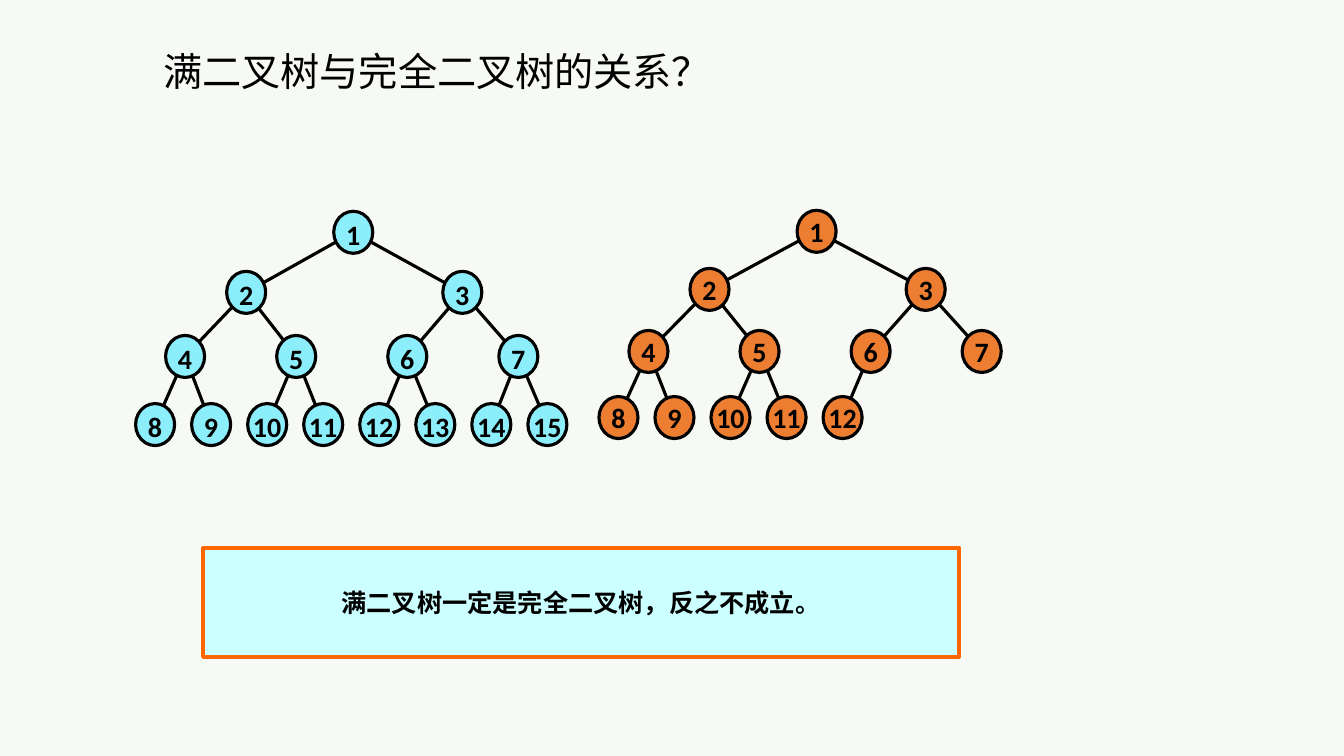
from dataclasses import dataclass
from math import hypot

from lxml import etree
from pptx import Presentation
from pptx.dml.color import RGBColor
from pptx.enum.shapes import MSO_CONNECTOR, MSO_SHAPE
from pptx.enum.text import MSO_ANCHOR, MSO_AUTO_SIZE, PP_ALIGN
from pptx.oxml.ns import qn
from pptx.util import Emu, Pt

OVAL, RECTANGLE = MSO_SHAPE.OVAL, MSO_SHAPE.RECTANGLE
STRAIGHT = MSO_CONNECTOR.STRAIGHT
LEFT, CENTER = PP_ALIGN.LEFT, PP_ALIGN.CENTER
MIDDLE, BOTTOM = MSO_ANCHOR.MIDDLE, MSO_ANCHOR.BOTTOM
NO_FIT = MSO_AUTO_SIZE.NONE
TITLE_ONLY = 5

EMU_PER_PX = 9080
NODE_WIDTH, NODE_HEIGHT = 39, 42
EDGE_INSET = 20
# Per level: offset of its first node from the leftmost leaf, and node spacing
LEVELS = [(198, 0), (91, 216), (30, 111), (0, 56)]


@dataclass(frozen=True)
class Theme:
    background: str = "F7FAF4"
    ink: str = "000000"
    full_node: str = "8DEEFB"
    complete_node: str = "ED7D31"
    box_fill: str = "CCFFFF"
    box_line: str = "FF6600"
    font: str = "Calibri"
    box_font: str = "Noto Sans CJK SC"
    title_size: int = 28
    node_size: int = 20
    box_size: int = 18
    line_width: float = 2.25
    box_line_width: float = 3


def px(length):
    return Emu(round(length * EMU_PER_PX))


def rgb(code):
    return RGBColor.from_string(code)


class SlideBuilder:
    def __init__(self, slide, theme):
        self.slide = slide
        self.theme = theme
        fill = slide.background.fill
        fill.solid()
        fill.fore_color.rgb = rgb(theme.background)

    def set_text(self, shape, text, size, font, align, anchor, bold=False):
        frame = shape.text_frame
        frame.text = text
        frame.auto_size = NO_FIT
        frame.vertical_anchor = anchor
        paragraph = frame.paragraphs[0]
        paragraph.alignment = align
        paragraph.font.name = font
        paragraph.font.size = Pt(size)
        paragraph.font.bold = bold
        paragraph.font.color.rgb = rgb(self.theme.ink)
        return paragraph

    def title(self, text, left, top, width, height):
        shape = self.slide.shapes.title
        shape.left, shape.top = px(left), px(top)
        shape.width, shape.height = px(width), px(height)
        paragraph = self.set_text(shape, text, self.theme.title_size,
                                  self.theme.font, LEFT, BOTTOM)
        paragraph.line_spacing = 0.9

    def shape(self, shapes, kind, bounds, fill, line, line_width):
        shape = shapes.add_shape(kind, *map(px, bounds))
        shape.shadow.inherit = False
        shape.fill.solid()
        shape.fill.fore_color.rgb = rgb(fill)
        shape.line.color.rgb = rgb(line)
        shape.line.width = Pt(line_width)
        return shape

    def box(self, text, *bounds):
        theme = self.theme
        shape = self.shape(self.slide.shapes, RECTANGLE, bounds,
                           theme.box_fill, theme.box_line, theme.box_line_width)
        self.set_text(shape, text, theme.box_size, theme.box_font,
                      CENTER, MIDDLE, bold=True)

    def node(self, shapes, number, center, fill, text_drop):
        theme = self.theme
        x, y = center
        bounds = (x - NODE_WIDTH / 2, y - NODE_HEIGHT / 2, NODE_WIDTH, NODE_HEIGHT)
        shape = self.shape(shapes, OVAL, bounds, fill, theme.ink, theme.line_width)
        self.set_text(shape, str(number), theme.node_size, theme.font,
                      CENTER, MIDDLE, bold=True)
        shape.text_frame.word_wrap = False
        shape.text_frame.margin_top = px(5 + 2 * text_drop)
        shape.text_frame.margin_bottom = px(5)

    def edge(self, shapes, parent, child):
        (x1, y1), (x2, y2) = parent, child
        distance = hypot(x2 - x1, y2 - y1)
        dx = EDGE_INSET * (x2 - x1) / distance
        dy = EDGE_INSET * (y2 - y1) / distance
        connector = shapes.add_connector(
            STRAIGHT, px(x1 + dx), px(y1 + dy), px(x2 - dx), px(y2 - dy))
        connector.line.color.rgb = rgb(self.theme.ink)
        connector.line.width = Pt(self.theme.line_width)
        properties = connector.element.find(qn("p:spPr"))
        etree.SubElement(properties, qn("a:effectLst"))

    def tree(self, count, first_leaf, rows, fill, text_drop=0):
        """Draw nodes 1..count in level order; node n hangs below n // 2."""
        shapes = self.slide.shapes.add_group_shape().shapes
        centers = {}
        for number in range(1, count + 1):
            level = number.bit_length() - 1
            offset, spacing = LEVELS[level]
            x = first_leaf + offset + spacing * (number - 2 ** level)
            centers[number] = (x, rows[level])
            self.node(shapes, number, centers[number], fill, text_drop)
        for number in range(2, count + 1):
            self.edge(shapes, centers[number // 2], centers[number])


def main():
    presentation = Presentation()
    presentation.slide_width, presentation.slide_height = px(1343), px(755)
    slide = presentation.slides.add_slide(presentation.slide_layouts[TITLE_ONLY])
    theme = Theme()
    builder = SlideBuilder(slide, theme)

    # Question
    builder.title("满二叉树与完全二叉树的关系？", 153, 43, 858, 57)

    # Complete tree on the right
    builder.tree(12, 618, [231, 289, 351, 417], theme.complete_node)

    # Conclusion
    builder.box("满二叉树一定是完全二叉树，反之不成立。", 203, 547, 755, 109)

    # Full tree on the left
    builder.tree(15, 155, [232, 292, 356, 424], theme.full_node, text_drop=2)

    presentation.save("out.pptx")


if __name__ == "__main__":
    main()
